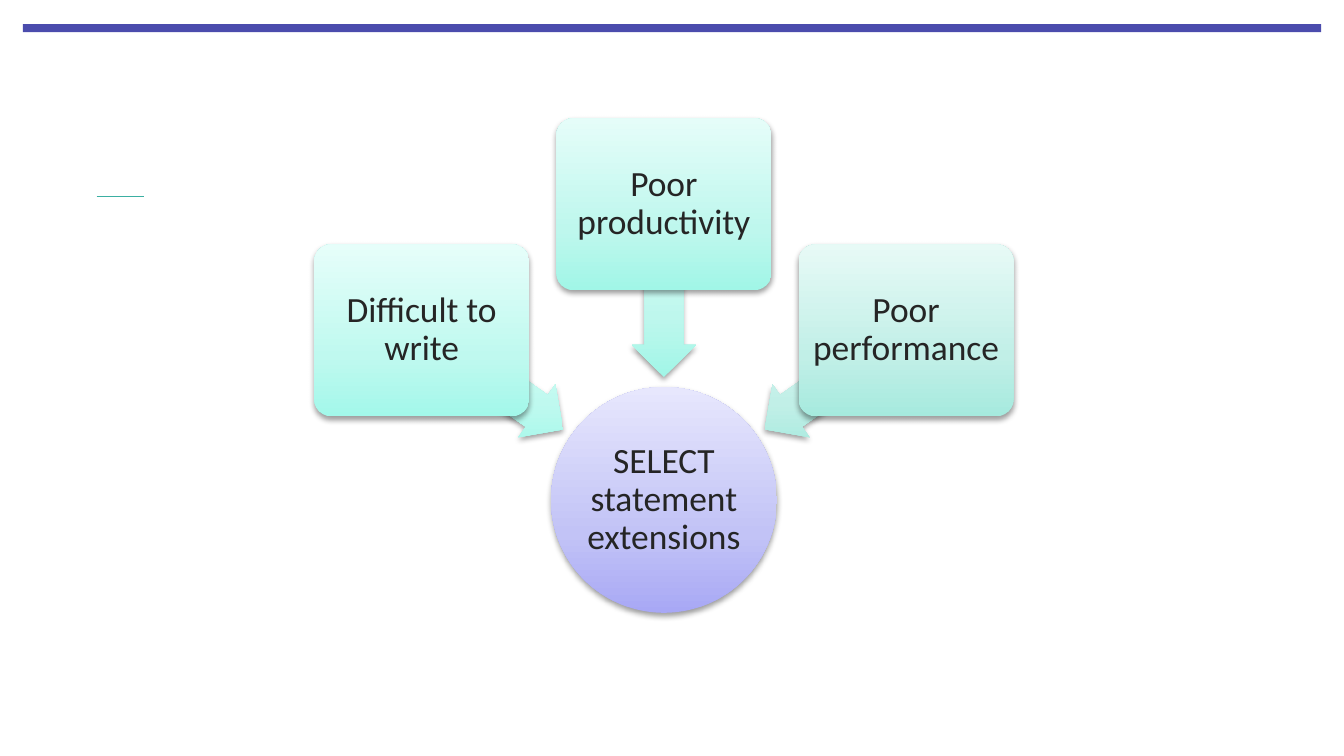
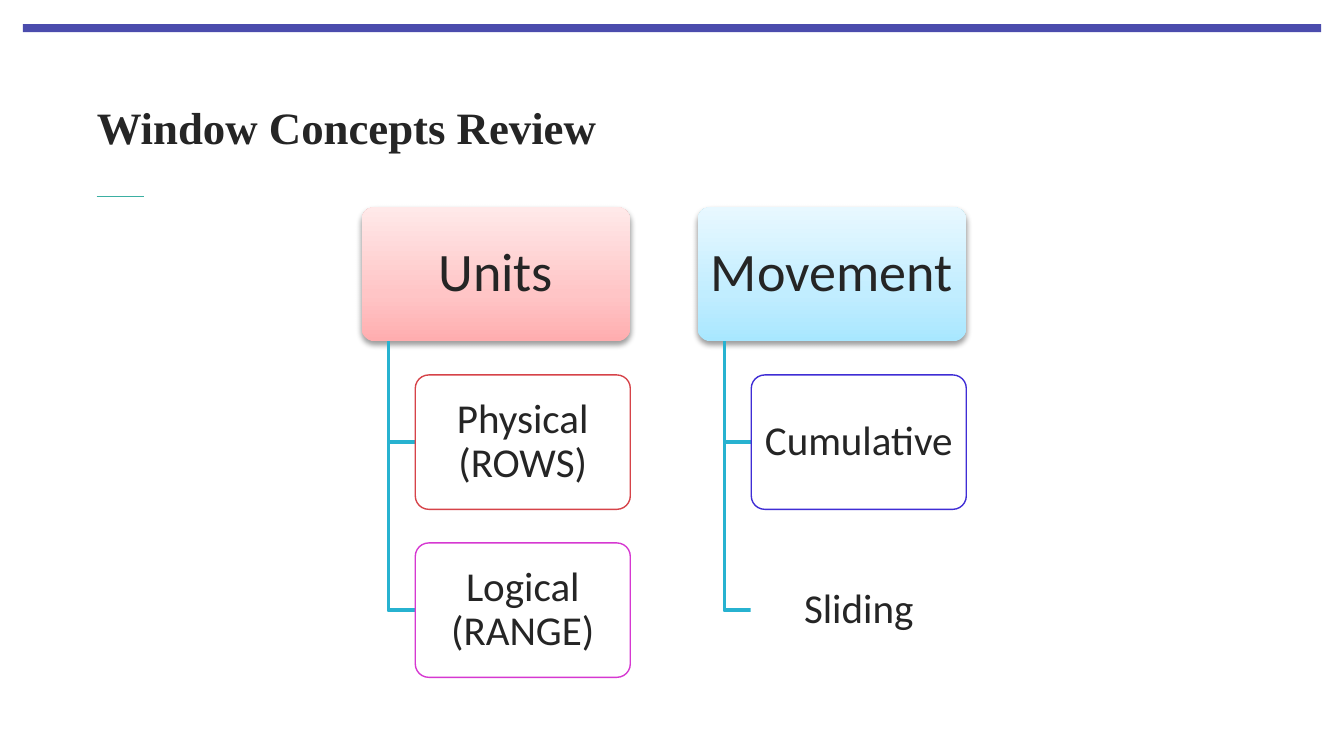
"""Build two slides: a radial diagram and a two-column hierarchy."""
import math
from dataclasses import dataclass

from lxml import etree
from pptx import Presentation, util as u
from pptx.dml.color import RGBColor
from pptx.enum import shapes as es, text as et
from pptx.oxml.ns import qn

I = u.Inches
KIND = es.MSO_SHAPE


@dataclass(frozen=True)
class Theme:
    """Hold the colours, fonts and type sizes of the deck."""
    ink: str = "252525"
    band: str = "4B4CAD"
    rule: str = "3BAFA2"
    link: str = "27B2D0"
    paper: str = "FFFFFF"
    lilac: tuple = ("A8A8F5", "C2C3F6", "E7E7FD")
    aqua: tuple = ("A3F8EA", "BFF9EF", "E6FEFA")
    mint: tuple = ("A1F6E7", "BEF7ED", "E5FDF9")
    sage: tuple = ("A6EADE", "C1EFE7", "E7FAF6")
    rose: tuple = ("FFADAF", "FFC5C6", "FFE9E9")
    sky: tuple = ("A8E7FF", "C1EDFF", "E8F8FF")
    red: str = "D64349"
    pink: str = "D638D1"
    blue: str = "3F2DD5"
    serif: str = "Times New Roman"
    sans: str = "Calibri"
    title: int = 24
    head: int = 29
    item: int = 22
    node: int = 19


T = Theme()


def rgb(code):
    """Turn a hex code into a colour."""
    return RGBColor.from_string(code)


def add(node, tag, **attrs):
    """Append an XML child with the given attributes."""
    kid = etree.SubElement(node, qn(tag))
    for key, val in attrs.items():
        kid.set(key, str(val))
    return kid


def write(shape, txt, size, font=T.sans, bold=False, align="CENTER",
          pad=(0, 0), space=None):
    """Set the text of a shape with its format."""
    tf = shape.text_frame
    tf.word_wrap = True
    tf.auto_size = et.MSO_AUTO_SIZE.NONE
    tf.vertical_anchor = et.MSO_ANCHOR.MIDDLE
    tf.margin_left = tf.margin_right = I(pad[0])
    tf.margin_top = tf.margin_bottom = I(pad[1])
    para = tf.paragraphs[0]
    para.alignment = et.PP_ALIGN[align]
    para.line_spacing = space
    run = para.add_run()
    run.text = txt
    face = run.font
    face.name, face.size, face.bold = font, u.Pt(size), bold
    face.color.rgb = rgb(T.ink)


def draw(slide, kind, x, y, w, h):
    """Add a preset shape with no line and no shadow."""
    shape = slide.shapes.add_shape(kind, I(x), I(y), I(w), I(h))
    shape.shadow.inherit = False
    shape.line.fill.background()
    if kind == KIND.ROUNDED_RECTANGLE:
        shape.adjustments[0] = 0.1
    return shape


def glow(slide, kind, tones, *box):
    """Add a shape with an upright gradient and a soft shadow."""
    shape = draw(slide, kind, *box)
    shape.fill.gradient()
    shape.fill.gradient_angle = 90
    props = shape.element.spPr
    grad = props.find(qn("a:gradFill"))
    grad.set("rotWithShape", "0")
    stops = grad.find(qn("a:gsLst"))
    stops.clear()
    for pos, tone in zip((0, 35, 100), tones):
        add(add(stops, "a:gs", pos=pos * 1000), "a:srgbClr", val=tone)
    cast = add(props.find(qn("a:effectLst")), "a:outerShdw",
               blurRad=u.Pt(3.1), dist=u.Pt(1.6), dir=5400000, rotWithShape=0)
    add(add(cast, "a:srgbClr", val="000000"), "a:alpha", val=38000)
    return shape


def card(slide, tint, *box):
    """Add a near-opaque white card with a thin outline."""
    shape = draw(slide, KIND.ROUNDED_RECTANGLE, *box)
    shape.fill.solid()
    shape.fill.fore_color.rgb = rgb(T.paper)
    tone = shape.element.spPr.find(qn("a:solidFill"))[0]
    add(tone, "a:alpha", val=90000)
    shape.line.color.rgb = rgb(tint)
    shape.line.width = u.Pt(0.75)
    return shape


def brand(deck, slide):
    """Draw the top band and short rule, then move them to the master."""
    band = draw(slide, KIND.RECTANGLE, 0.17, 0.18, 9.66, 0.06)
    band.fill.solid()
    band.fill.fore_color.rgb = rgb(T.band)
    rule = slide.shapes.add_connector(
        es.MSO_CONNECTOR.STRAIGHT, I(0.72), I(1.46), I(1.07), I(1.46))
    rule.line.color.rgb = rgb(T.rule)
    rule.line.width = u.Pt(0.5)
    add(rule.element.spPr, "a:effectLst")
    for num, part in enumerate((band, rule), 101):
        next(part.element.iter(qn("p:cNvPr"))).set("id", str(num))
        deck.slide_master.shapes.element.append(part.element)


def radial(slide, box, hub, nodes):
    """Place a hub at the foot of the box with nodes pointing at it."""
    x, y, w, h = box
    size, wide, high = 1.68, 1.6, 1.28
    long, thick = 1.29, 0.48
    mid, low = x + w / 2, y + h - size / 2
    disc = glow(slide, KIND.OVAL, T.lilac, mid - size / 2, low - size / 2,
                size, size)
    write(disc, hub, T.node, pad=(0.01, 0.01), space=0.9)

    def spot(deg, dist, wid, hgt):
        """Give the box centred at an angle and distance from the hub."""
        turn = math.radians(deg)
        return (mid + dist * math.cos(turn) - wid / 2,
                low - dist * math.sin(turn) - hgt / 2, wid, hgt)

    for txt, deg, tones in nodes:
        arrow = glow(slide, KIND.LEFT_ARROW, tones,
                     *spot(deg, 1.56, long, thick))
        arrow.adjustments[0], arrow.adjustments[1] = 0.6, 0.5
        arrow.rotation = 360 - deg
        node = glow(slide, KIND.ROUNDED_RECTANGLE, tones,
                    *spot(deg, 2.2, wide, high))
        write(node, txt, T.node, pad=(0.04, 0.04), space=0.9)


def elbow(slide, x, top, end, wide):
    """Draw a line down and then right."""
    path = slide.shapes.build_freeform(I(x), I(top))
    path.add_line_segments([(I(x), I(end)), (I(x + wide), I(end))],
                           close=False)
    line = path.convert_to_shape()
    line.shadow.inherit = False
    line.fill.background()
    line.line.color.rgb = rgb(T.link)
    line.line.width = u.Pt(2)


def column(slide, box, head, tones, items):
    """Stack a head and its indented items inside the box."""
    x, y, w, h = box
    gap, dent = 0.25, 0.2
    high = (h - gap * len(items)) / (len(items) + 1)
    top = glow(slide, KIND.ROUNDED_RECTANGLE, tones, x, y, w, high)
    write(top, head, T.head, pad=(0.06, 0.04), space=0.9)
    for num, (txt, tint) in enumerate(items, 1):
        row = y + num * (high + gap)
        elbow(slide, x + dent, y + high, row + high / 2, dent)
        cell = card(slide, tint, x + 2 * dent, row, w - 2 * dent, high)
        write(cell, txt, T.item, pad=(0.05, 0.03), space=0.9)


def title(slide, box, txt):
    """Move and format the title placeholder."""
    head = slide.shapes.title
    head.left, head.top, head.width, head.height = map(I, box)
    write(head, txt, T.title, font=T.serif, bold=True, align="LEFT")


def main():
    """Build and save the deck."""
    deck = Presentation()
    deck.slide_width, deck.slide_height = I(10), I(10 * 9 / 16)

    first = deck.slides.add_slide(deck.slide_layouts[6])
    brand(deck, first)
    radial(first, (2.33, 0.88, 5.22, 3.68), "SELECT statement extensions", [
        ("Difficult to write", 145, T.aqua),
        ("Poor productivity", 90, T.mint),
        ("Poor performance", 35, T.sage)])

    second = deck.slides.add_slide(deck.slide_layouts[5])
    title(second, (0.72, 0.47, 8.71, 0.94), "Window Concepts Review")
    groups = [
        ("Units", T.rose,
         [("Physical (ROWS)", T.red), ("Logical (RANGE)", T.pink)]),
        ("Movement", T.sky,
         [("Cumulative", T.blue), ("Sliding", T.paper)])]
    for num, group in enumerate(groups):
        column(second, (2.69 + 2.5 * num, 1.54, 2, 3.5), *group)

    deck.save("out.pptx")


if __name__ == "__main__":
    main()
